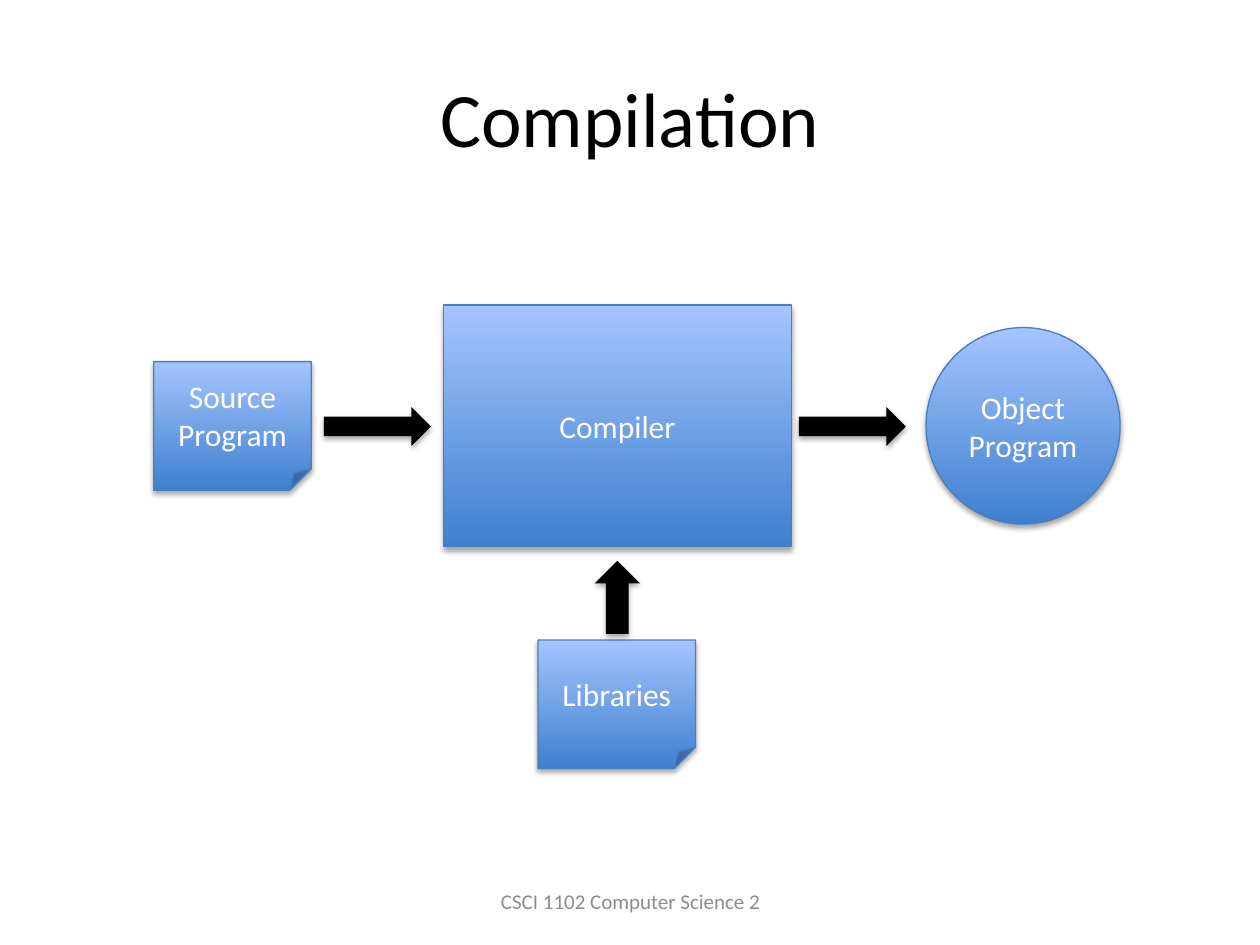
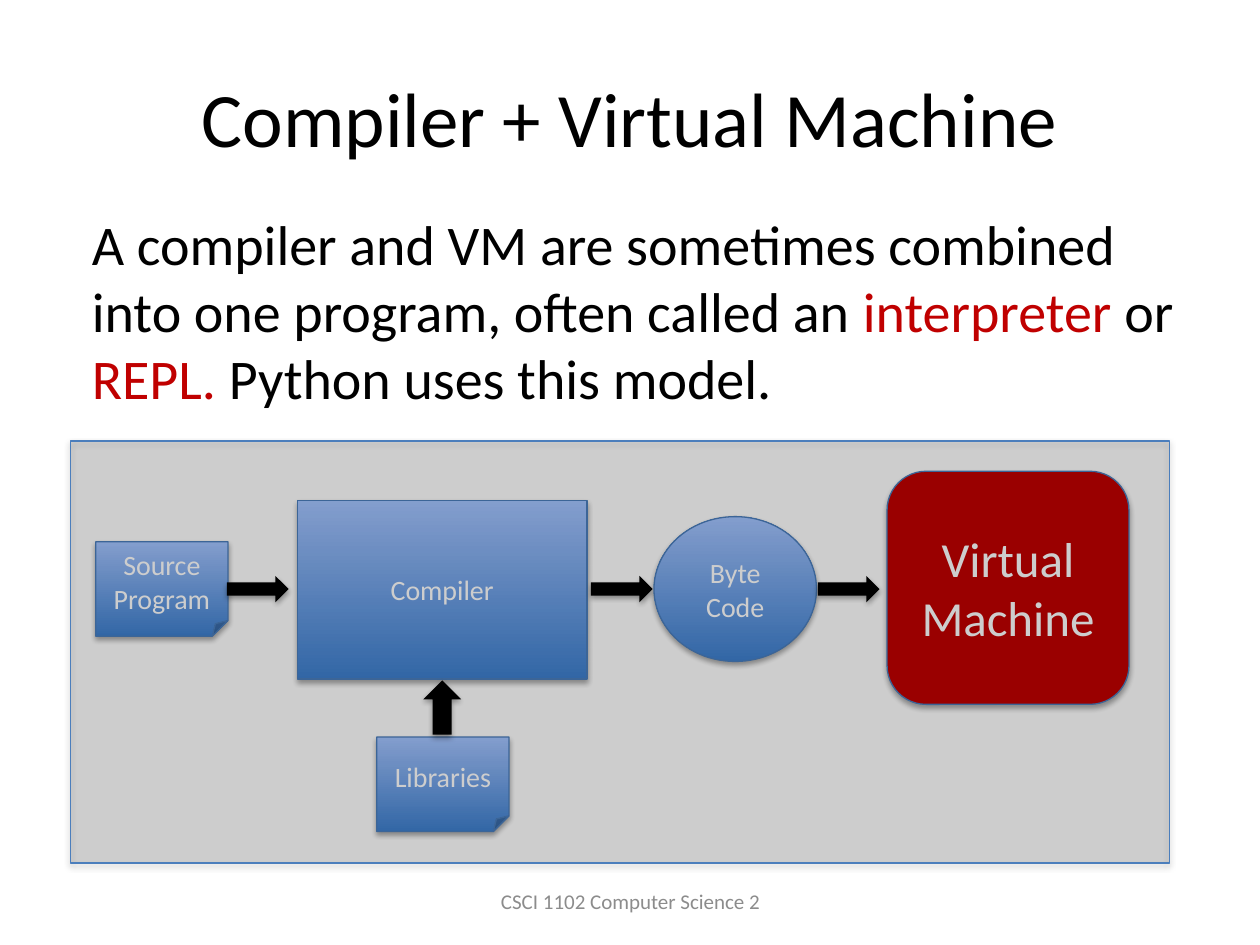
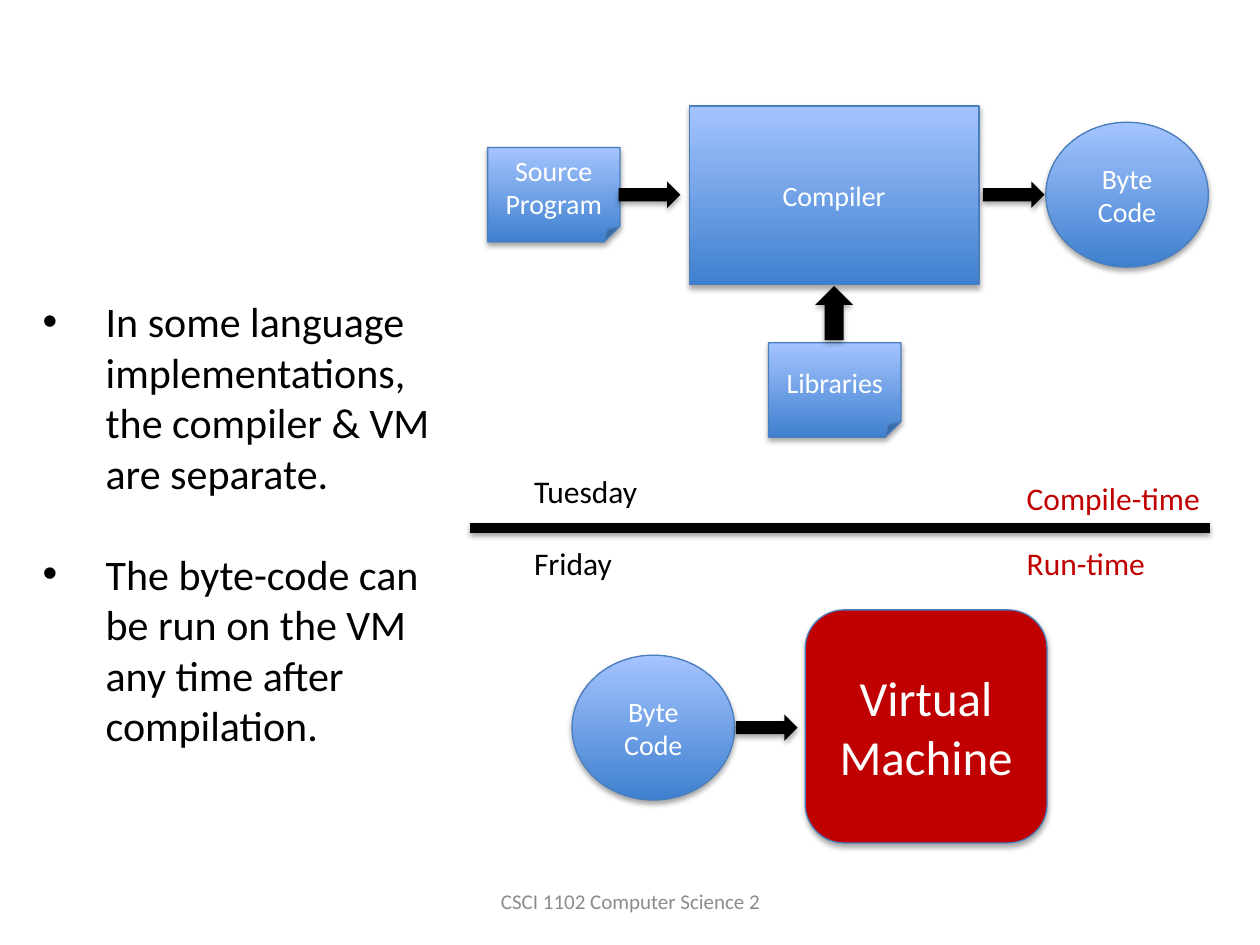
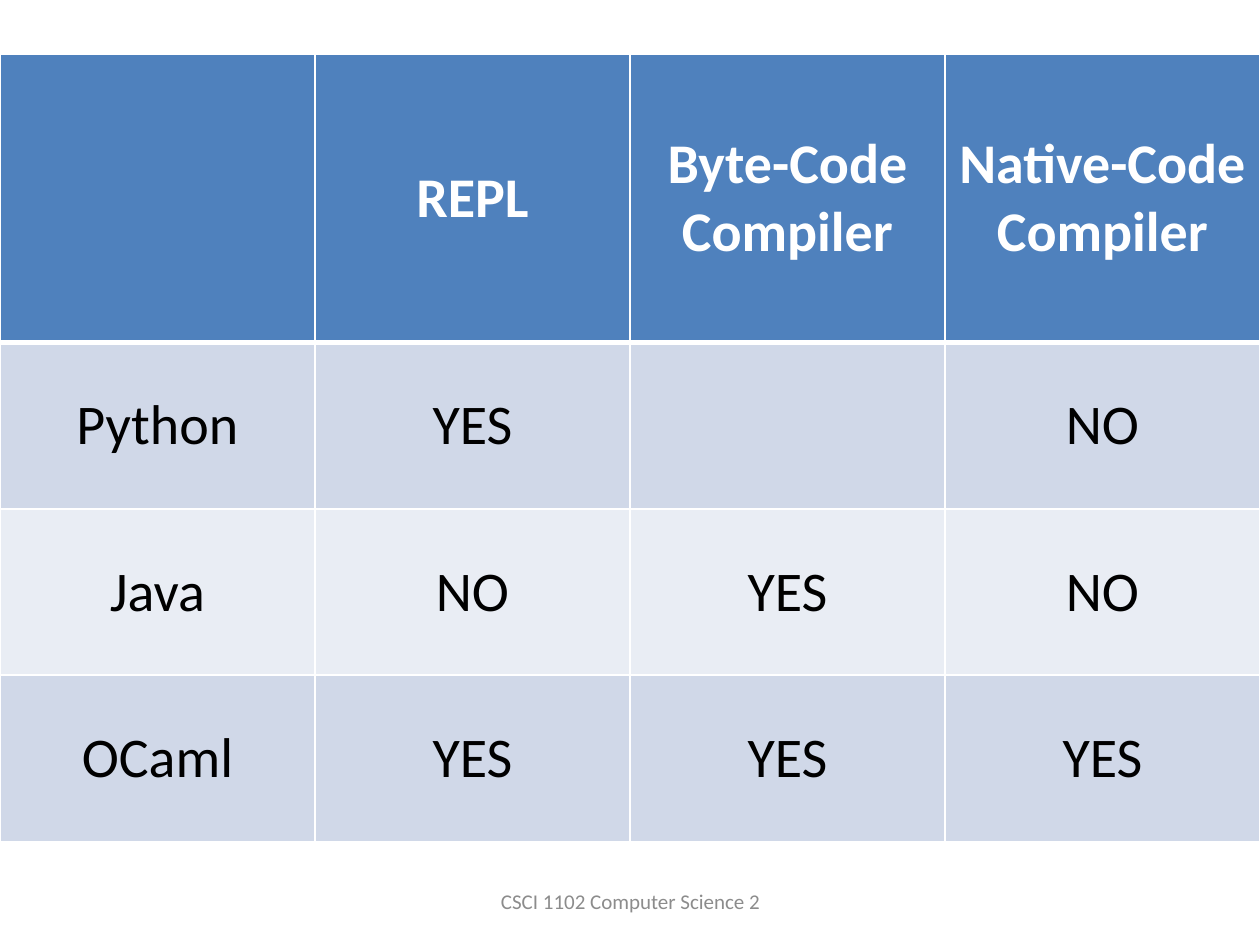
from lxml import etree
from pptx import Presentation
from pptx.dml.color import RGBColor
from pptx.enum.shapes import MSO_CONNECTOR, MSO_SHAPE
from pptx.enum.text import MSO_ANCHOR, MSO_AUTO_SIZE, PP_ALIGN
from pptx.oxml.ns import qn
from pptx.util import Inches, Pt

BLACK = RGBColor(0x00, 0x00, 0x00)
WHITE = RGBColor(0xFF, 0xFF, 0xFF)
RED = RGBColor(0xC0, 0x00, 0x00)
GRAY = RGBColor(0x8C, 0x8C, 0x8C)
DEEP = RGBColor(0x3F, 0x80, 0xCE)
PALE = RGBColor(0xA4, 0xC4, 0xFF)
EDGE = RGBColor(0x4B, 0x7E, 0xBC)
HEAD = RGBColor(0x4F, 0x81, 0xBD)
BANDS = (RGBColor(0xE9, 0xED, 0xF4), RGBColor(0xD0, 0xD8, 0xE8))

NOTE = MSO_SHAPE.FOLDED_CORNER
RECT = MSO_SHAPE.RECTANGLE
OVAL = MSO_SHAPE.OVAL
ROUND = MSO_SHAPE.ROUNDED_RECTANGLE
RIGHT = MSO_SHAPE.RIGHT_ARROW
UP = MSO_SHAPE.UP_ARROW
LINE = MSO_CONNECTOR.STRAIGHT
TOP, MIDDLE = MSO_ANCHOR.TOP, MSO_ANCHOR.MIDDLE
LEFT, CENTER = PP_ALIGN.LEFT, PP_ALIGN.CENTER
GROW = MSO_AUTO_SIZE.SHAPE_TO_FIT_TEXT

FONT = "Calibri"
FOOTER = "CSCI 1102 Computer Science 2"


def node(parent, tag, **attrs):
    """Append a DrawingML child with the given attributes."""
    child = etree.SubElement(parent, qn("a:" + tag))
    for key, value in attrs.items():
        child.set(key, str(value))
    return child


def shade(item, alpha=35, dist=1.8):
    """Cast a soft shadow straight down; call after fill and line are set."""
    effects = node(item._element.spPr, "effectLst")
    outer = node(effects, "outerShdw", blurRad=Pt(3.15), dist=Pt(dist),
                 dir=90 * 60000, rotWithShape=0)
    color = node(outer, "srgbClr", val=BLACK)
    node(color, "alpha", val=alpha * 1000)


def border(cell, widths):
    """Draw white cell edges from a dict of side letter to points."""
    props = cell._tc.get_or_add_tcPr()
    for side, width in widths.items():
        edge = node(props, "ln" + side, w=Pt(width))
        node(node(edge, "solidFill"), "srgbClr", val=WHITE)


def style(font, size, color, bold=False):
    look = {"name": FONT, "size": Pt(size), "bold": bold}
    for key, value in look.items():
        setattr(font, key, value)
    font.color.rgb = color


class Deck:
    """Holds the shared style, the current slide and the shapes drawn into."""

    def __init__(self):
        self.show = Presentation()
        self.show.slide_width = Inches(10)
        self.show.slide_height = Inches(7.5)

    def page(self, title=None):
        self.slide = self.show.slides.add_slide(self.show.slide_layouts[6])
        self.home = self.slide.shapes
        if title:
            self.text((0.5, 0.3, 9, 1.25), [title], 44, align=CENTER, anchor=MIDDLE)
        self.text((3.42, 6.95, 3.17, 0.4), [FOOTER], 12, GRAY, CENTER, MIDDLE)

    def group(self):
        self.home = self.slide.shapes.add_group_shape().shapes

    def leave(self):
        self.home = self.slide.shapes

    def text(self, spot, paras, size, color=BLACK, align=LEFT, anchor=TOP,
             wrap=True, grow=False):
        """Write paragraphs; each is a string or a list of (words, color)."""
        box = self.home.add_textbox(*map(Inches, spot))
        frame = box.text_frame
        frame.word_wrap = wrap
        frame.vertical_anchor = anchor
        if grow:
            frame.auto_size = GROW
        for i, runs in enumerate(paras):
            para = frame.add_paragraph() if i else frame.paragraphs[0]
            para.alignment = align
            for words, tint in [(runs, color)] if isinstance(runs, str) else runs:
                run = para.add_run()
                run.text = words
                style(run.font, size, tint)
        return frame

    def bullets(self, spot, items, size, gap):
        frame = self.text(spot, items, size, grow=True)
        for i, para in enumerate(frame.paragraphs):
            if i:
                para.space_before = Pt(gap)
            props = para._p.get_or_add_pPr()
            props.set("marL", str(Inches(0.5)))
            props.set("indent", str(-Inches(0.5)))
            node(props, "buFont", typeface="Arial")
            node(props, "buChar", char="•")

    def label(self, x, y, width, words, color=BLACK):
        self.text((x, y, width, 0.4), [words], 18, color, wrap=False, grow=True)

    def block(self, kind, spot, words="", size=16, fill=None, alpha=None):
        """Draw an outlined shape, with the blue gradient unless filled."""
        shape = self.home.add_shape(kind, *map(Inches, spot))
        if fill is None:
            shape.fill.gradient()
            shape.fill.gradient_angle = 90
            for stop, color in zip(shape.fill.gradient_stops, (DEEP, PALE)):
                stop.color.rgb = color
        else:
            shape.fill.solid()
            shape.fill.fore_color.rgb = fill
        if alpha:
            color = shape._element.spPr.find(qn("a:solidFill"))[0]
            node(color, "alpha", val=alpha * 1000)
        shape.line.color.rgb = EDGE
        shape.line.width = Pt(0.75)
        shade(shape)
        if words:
            frame = shape.text_frame
            frame.text = words
            frame.vertical_anchor = MIDDLE
            for para in frame.paragraphs:
                para.alignment = CENTER
                style(para.runs[0].font, size, WHITE)

    def arrow(self, kind, spot):
        shape = self.home.add_shape(kind, *map(Inches, spot))
        shape.fill.solid()
        shape.fill.fore_color.rgb = BLACK
        shape.line.fill.background()
        shade(shape)

    def rule(self, left, right, y):
        line = self.home.add_connector(
            LINE, Inches(left), Inches(y), Inches(right), Inches(y))
        line.line.color.rgb = BLACK
        line.line.width = Pt(5.5)
        shade(line, 38, 1.6)

    def oval(self, x, y):
        self.block(OVAL, (x, y, 1.29, 1.15), "Byte Code")

    def build(self, x, y):
        """Draw the flow from source to byte code; (x, y) is its top left."""
        self.block(NOTE, (x, y + 0.33, 1.05, 0.75), "Source\nProgram")
        self.block(NOTE, (x + 2.23, y + 1.88, 1.05, 0.75), "Libraries")
        self.block(RECT, (x + 1.6, y, 2.3, 1.42), "Compiler")
        self.arrow(UP, (x + 2.6, y + 1.43, 0.3, 0.43))
        for step in (1.04, 3.93):
            self.arrow(RIGHT, (x + step, y + 0.6, 0.49, 0.21))
        self.oval(x + 4.43, y + 0.13)

    def engine(self, x, y):
        """Draw the arrow and machine that follow an oval placed at (x, y)."""
        self.arrow(RIGHT, (x + 1.3, y + 0.47, 0.49, 0.21))
        self.block(ROUND, (x + 1.85, y - 0.36, 1.92, 1.85),
                   "Virtual Machine", 28, RED)

    def table(self, spot, rows, heights):
        grid = self.home.add_table(
            len(rows), len(rows[0]), *map(Inches, spot)).table
        for r, row in enumerate(rows):
            grid.rows[r].height = Inches(heights[r])
            for c, words in enumerate(row):
                cell = grid.cell(r, c)
                border(cell, {"L": 1, "R": 1, "T": 3 if r == 1 else 1,
                              "B": 1 if r else 3})
                cell.fill.solid()
                cell.fill.fore_color.rgb = BANDS[r % 2] if r else HEAD
                cell.vertical_anchor = MIDDLE
                if words:
                    cell.text = words
                    para = cell.text_frame.paragraphs[0]
                    para.alignment = CENTER
                    style(para.runs[0].font, 32, BLACK if r else WHITE, r == 0)


def compiling(deck):
    deck.page("Compilation")
    deck.block(NOTE, (1.22, 2.87, 1.25, 1.02), "Source\nProgram", 18)
    deck.block(NOTE, (4.27, 5.08, 1.25, 1.02), "Libraries", 18)
    deck.block(RECT, (3.52, 2.42, 2.76, 1.92), "Compiler", 18)
    for x in (2.57, 6.34):
        deck.arrow(RIGHT, (x, 3.23, 0.85, 0.31))
    deck.arrow(UP, (4.72, 4.45, 0.36, 0.58))
    deck.block(OVAL, (7.35, 2.6, 1.54, 1.56), "Object\nProgram", 18)


def combined(deck):
    deck.page("Compiler + Virtual Machine")
    deck.text((0.63, 1.61, 8.79, 1.72), [[
        ("A compiler and VM are sometimes combined into one program, "
         "often called an ", BLACK),
        ("interpreter ", RED), ("or", BLACK), (" REPL. ", RED),
        ("Python uses this model.", BLACK)]], 32, grow=True)
    deck.group()
    deck.build(0.76, 3.97)
    deck.engine(5.19, 4.1)
    deck.leave()
    deck.block(RECT, (0.56, 3.5, 8.72, 3.35), fill=BLACK, alpha=15)


def separate(deck):
    deck.page()
    deck.group()
    deck.build(3.87, 0.84)
    deck.leave()
    deck.bullets((0.24, 2.3, 3.49, 3.74), [
        "In some language implementations, the compiler & VM are separate.",
        "The byte-code can be run on the VM any time after compilation."], 24, 29)
    deck.group()
    deck.oval(4.54, 5.2)
    deck.engine(4.54, 5.2)
    deck.leave()
    deck.rule(3.73, 9.6, 4.19)
    deck.label(4.14, 3.7, 1.03, "Tuesday")
    deck.label(4.14, 4.27, 0.83, "Friday")
    deck.label(8.05, 3.75, 1.59, "Compile-time", RED)
    deck.label(8.05, 4.27, 1.15, "Run-time", RED)


def support(deck):
    deck.page()
    deck.table((0, 0.43, 10, 6.25), [
        ("", "REPL", "Byte-Code Compiler", "Native-Code Compiler"),
        ("Python", "YES", "", "NO"),
        ("Java", "NO", "YES", "NO"),
        ("OCaml", "YES", "YES", "YES")], [2.29] + [1.32] * 3)


def main():
    deck = Deck()
    for draw in (compiling, combined, separate, support):
        draw(deck)
    deck.show.save("out.pptx")


if __name__ == "__main__":
    main()
